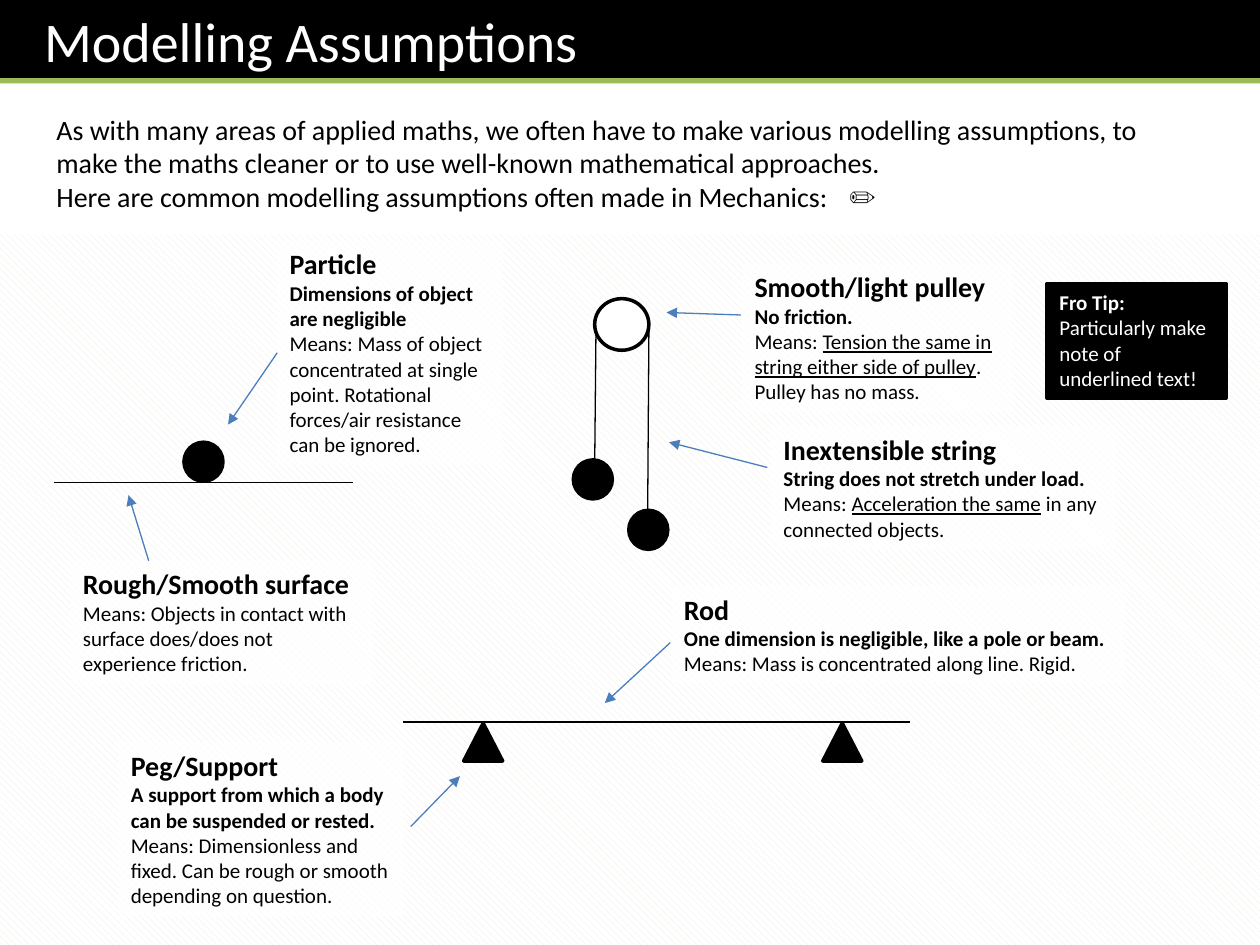
import dataclasses

import pptx
import pptx.dml.color
import pptx.enum.dml
import pptx.enum.shapes
import pptx.enum.text
import pptx.oxml.ns
import pptx.util
from lxml import etree

SHAPE = pptx.enum.shapes.MSO_SHAPE
COLUMNS, ROWS = 100, 75
WIDTH, HEIGHT = pptx.util.Inches(10), pptx.util.Inches(7.5)


@dataclasses.dataclass(frozen=True)
class Theme:
    font: str = "Calibri"
    symbol_font: str = "Arial"
    ink: str = "000000"
    paper: str = "FFFFFF"
    accent: str = "9BBB59"
    arrow: str = "4B7EBC"
    hatch: str = "EEECE1"
    title: int = 32
    heading: int = 16
    body: int = 12
    thin: float = 0.75
    outline: int = 2
    rule: int = 3
    panel_opacity: int = 72


THEME = Theme()
HEADING = {"size": THEME.heading, "bold": True}
INTRO = {"size": THEME.heading}
STRONG = {"bold": True}
UNDERLINED = {"underline": True}
PLAIN = {}


def rgb(code):
    return pptx.dml.color.RGBColor.from_string(code)


def across(columns):
    return round(WIDTH * columns / COLUMNS)


def down(rows):
    return round(HEIGHT * rows / ROWS)


def place(left, top, width, height):
    return across(left), down(top), across(width), down(height)


def add_child(parent, tag, **attributes):
    return etree.SubElement(parent, pptx.oxml.ns.qn(tag), attributes)


def add_solid(page, kind, area, fill, outline=None):
    """Add a preset shape with a flat fill and, if wanted, an ink outline."""
    shape = page.shapes.add_shape(kind, *place(*area))
    shape.shadow.inherit = False
    shape.fill.solid()
    shape.fill.fore_color.rgb = rgb(fill)
    if outline:
        shape.line.color.rgb = rgb(THEME.ink)
        shape.line.width = pptx.util.Pt(outline)
    else:
        shape.line.fill.background()
    return shape


def write(box, paragraphs, colour=THEME.ink):
    """Fill a box with paragraphs, each a list of (text, style) runs."""
    frame = box.text_frame
    frame.word_wrap = True
    frame.auto_size = pptx.enum.text.MSO_AUTO_SIZE.SHAPE_TO_FIT_TEXT
    frame.vertical_anchor = pptx.enum.text.MSO_ANCHOR.TOP
    for index, runs in enumerate(paragraphs):
        para = frame.add_paragraph() if index else frame.paragraphs[0]
        para.alignment = pptx.enum.text.PP_ALIGN.LEFT
        for text, style in runs:
            span = para.add_run()
            span.text = text
            span.font.name = style.get("font", THEME.font)
            span.font.size = pptx.util.Pt(style.get("size", THEME.body))
            span.font.bold = style.get("bold", False)
            span.font.underline = style.get("underline", False)
            span.font.color.rgb = rgb(colour)
    return frame


def add_panel(page, area, heading, *paragraphs):
    """Add a translucent note with a heading above its explanation."""
    panel = add_solid(page, SHAPE.RECTANGLE, area, THEME.paper)
    colour = panel.fill._xPr.find(".//" + pptx.oxml.ns.qn("a:srgbClr"))
    add_child(colour, "a:alpha", val=str(THEME.panel_opacity * 1000))
    write(panel, [[(heading, HEADING)], *paragraphs])
    return panel


def add_line(page, start, end, colour=THEME.ink, width=THEME.thin):
    line = page.shapes.add_connector(
        pptx.enum.shapes.MSO_CONNECTOR.STRAIGHT,
        across(start[0]), down(start[1]), across(end[0]), down(end[1]))
    line.line.color.rgb = rgb(colour)
    line.line.width = pptx.util.Pt(width)
    add_child(line._element.spPr, "a:effectLst")
    return line


def add_arrow(page, start, end):
    arrow = add_line(page, start, end, THEME.arrow)
    add_child(arrow.line._get_or_add_ln(), "a:tailEnd", type="triangle")
    return arrow


def add_ball(page, left, top):
    add_solid(page, SHAPE.OVAL, (left, top, 3.1, 3.1), THEME.ink, THEME.outline)


def add_header(page):
    banner = add_solid(page, SHAPE.RECTANGLE, (0, 0, COLUMNS, 6.6), THEME.ink)
    frame = write(banner, [[("Modelling Assumptions", {"size": THEME.title})]], THEME.paper)
    frame.margin_left = across(3.5)
    add_line(page, (0, 6.4), (COLUMNS, 6.4), THEME.accent, THEME.rule)


def add_intro(page):
    box = page.shapes.add_textbox(*place(3.5, 8.4, 91.3, 9.1))
    frame = write(box, [
        [("As with many areas of applied maths, we often have to make various modelling "
          "assumptions, to make the maths cleaner or to use well-known mathematical "
          "approaches.", INTRO)],
        [("Here are common modelling assumptions often made in Mechanics:\t", INTRO),
         ("✏", {**INTRO, "font": THEME.symbol_font})],
    ])
    tabs = add_child(frame.paragraphs[1]._p.get_or_add_pPr(), "a:tabLst")
    add_child(tabs, "a:tab", pos=str(across(62.9)), algn="l")


def add_backdrop(page):
    backdrop = add_solid(page, SHAPE.RECTANGLE, (0, 18.6, COLUMNS, 56.4), THEME.paper)
    backdrop.fill.patterned()
    backdrop.fill.pattern = pptx.enum.dml.MSO_PATTERN.WIDE_DOWNWARD_DIAGONAL
    backdrop.fill.fore_color.rgb = rgb(THEME.hatch)
    backdrop.fill.back_color.rgb = rgb(THEME.paper)


def add_particle_on_surface(page):
    add_ball(page, 14.6, 35.1)
    add_line(page, (4.3, 38.3), (28, 38.3))
    particle = add_panel(
        page, (22, 19.1, 17.9, 17.8), "Particle",
        [("Dimensions of object are negligible", STRONG)],
        [("Means: Mass of object concentrated at single point. Rotational forces/air "
          "resistance can be ignored.", PLAIN)])
    add_arrow(page, (22, 28), (18.1, 33.7)).begin_connect(particle, 1)
    add_panel(
        page, (5.6, 44.5, 23.9, 9.8), "Rough/Smooth surface",
        [("Means: Objects in contact with surface does/does not experience friction.", PLAIN)])
    add_arrow(page, (11.8, 44.5), (10.2, 39.3))


def add_pulley(page):
    add_solid(page, SHAPE.OVAL, (47.2, 23.7, 4.3, 4.1), THEME.paper, THEME.outline)
    add_ball(page, 45.5, 36.5)
    add_ball(page, 49.9, 40.5)
    add_line(page, (47.3, 26.3), (47.2, 37))
    add_line(page, (51.5, 26.3), (51.4, 41.3))
    add_panel(
        page, (58.9, 20.9, 21.4, 11.8), "Smooth/light pulley",
        [("No friction.", STRONG)],
        [("Means: ", PLAIN),
         ("Tension the same in string either side of pulley", UNDERLINED), (".", PLAIN)],
        [("Pulley has no mass.", PLAIN)])
    add_arrow(page, (58.8, 25), (52.9, 24.8))
    add_panel(
        page, (61.2, 33.8, 27.3, 9.8), "Inextensible string",
        [("String does not stretch under load.", STRONG)],
        [("Means: ", PLAIN), ("Acceleration the same", UNDERLINED),
         (" in any connected objects.", PLAIN)])
    add_arrow(page, (60.9, 37.1), (53.1, 35.1))


def add_rod_on_pegs(page):
    add_line(page, (32, 57.3), (72.2, 57.3))
    for left in (36.8, 65.3):
        add_solid(page, SHAPE.ISOSCELES_TRIANGLE, (left, 57.4, 3.1, 3),
                  THEME.ink, THEME.outline)
    add_panel(
        page, (53.3, 46.5, 35.9, 7.7), "Rod",
        [("One dimension is negligible, like a pole or beam.", STRONG)],
        [("Means: Mass is concentrated along line. Rigid.", PLAIN)])
    add_panel(
        page, (9.4, 58.9, 22.6, 13.8), "Peg/Support",
        [("A support from which a body can be suspended or rested.", STRONG)],
        [("Means: Dimensionless and fixed. Can be rough or smooth depending on question.",
          PLAIN)])
    add_arrow(page, (53.2, 51), (48, 55.8))
    add_arrow(page, (32.6, 65.6), (36.5, 61.6))


def add_tip(page):
    tip = add_solid(page, SHAPE.RECTANGLE, (83.1, 22.5, 14.2, 9.1), THEME.ink, THEME.outline)
    write(tip, [[("Fro Tip:", STRONG)],
                [("Particularly make note of underlined text!", PLAIN)]], THEME.paper)


def main():
    deck = pptx.Presentation()
    deck.slide_width, deck.slide_height = WIDTH, HEIGHT
    page = deck.slides.add_slide(deck.slide_layouts[6])
    add_header(page)
    add_intro(page)
    add_backdrop(page)
    add_particle_on_surface(page)
    add_pulley(page)
    add_rod_on_pegs(page)
    add_tip(page)
    deck.save("out.pptx")


if __name__ == "__main__":
    main()
